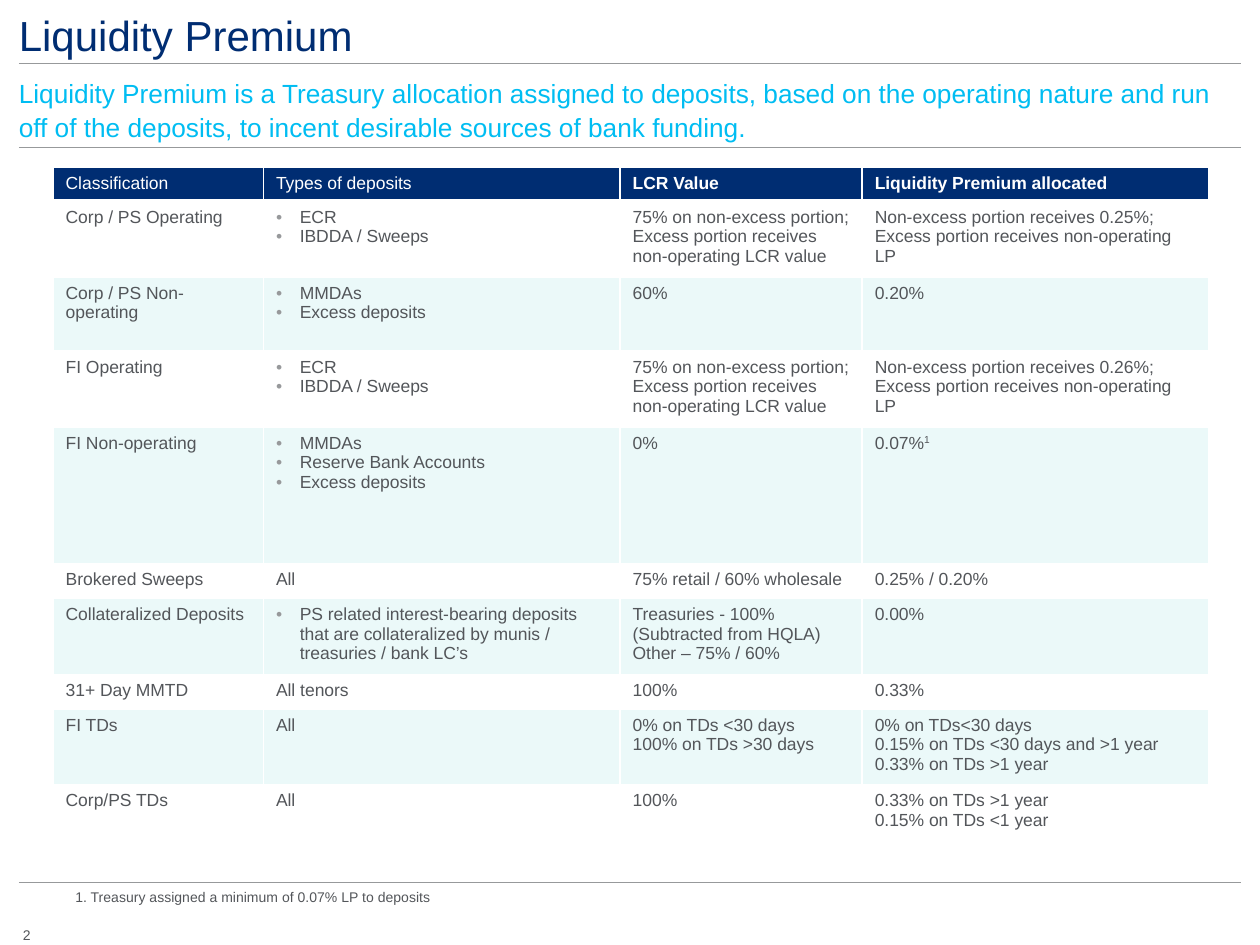
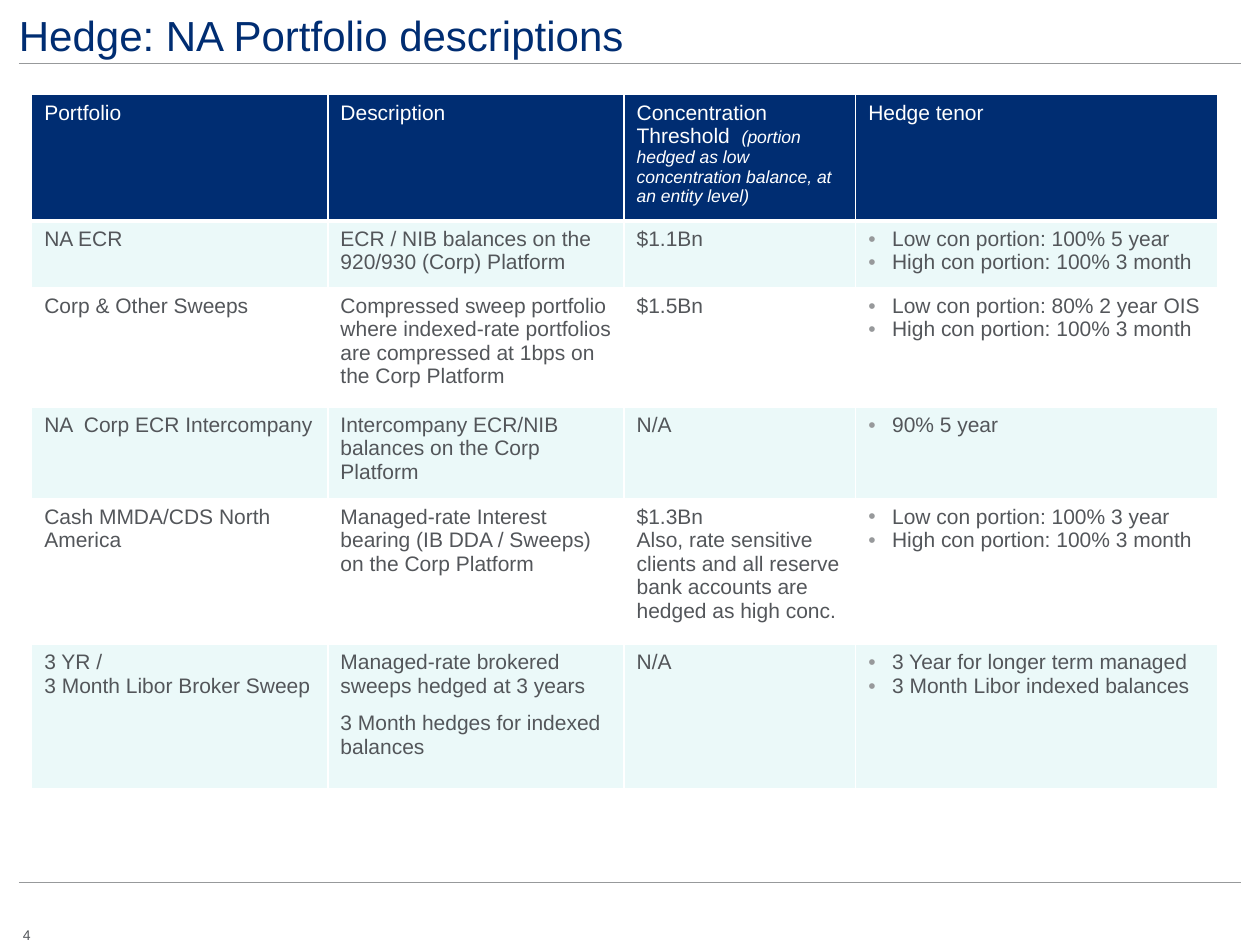
from lxml import etree
from pptx import Presentation
from pptx import util as u
from pptx.dml.color import RGBColor
from pptx.enum import shapes, text
from pptx.oxml import ns

COLORS = {"navy": "002D72", "cyan": "00BDF2", "body": "53565A",
          "rule": "97999B", "mint": "EBF9F9", "white": "FFFFFF"}
FONT = "Arial"
LEFT, RIGHT = 0.38, 25.02  # cm, ends of the rules and of the title

# Content. A cell is one paragraph or a list of them; a paragraph is a string
# or a tuple of runs, and a run may be a (text, format) pair.
NON_OPERATING = "Excess portion receives non-operating"
LCR_OPERATING = f"75% on non-excess portion; {NON_OPERATING} LCR value"
SWEEPS = ["• ECR", "• IBDDA / Sweeps"]
HIGH_CON = "• High con portion: 100% 3 month"

PREMIUM = {
    "title": "Liquidity Premium",
    "page": "2",
    "summary": "Liquidity Premium is a Treasury allocation assigned to deposits, "
               "based on the operating nature and run off of the deposits, "
               "to incent desirable sources of bank funding.",
    "footnote": "1. Treasury assigned a minimum of 0.07% LP to deposits",
    "origin": (1.07, 3.38),
    "size": 10,
    "bands": ("white", "mint"),
    "columns": (4.24, 7.19, 4.88, 6.99),
    "heights": (0.67, 1.53, 1.49, 1.53, 2.76, 0.7, 1.48, 0.7, 1.49, 1.1),
    "rows": [
        ("Classification", "Types of deposits",
         (("LCR Value", {"bold": True}),),
         (("Liquidity Premium allocated", {"bold": True}),)),
        ("Corp / PS Operating", SWEEPS, LCR_OPERATING,
         f"Non-excess portion receives 0.25%; {NON_OPERATING} LP"),
        ("Corp / PS Non-operating", ["• MMDAs", "• Excess deposits"], "60%", "0.20%"),
        ("FI Operating", SWEEPS, LCR_OPERATING,
         f"Non-excess portion receives 0.26%; {NON_OPERATING} LP"),
        ("FI Non-operating",
         ["• MMDAs", "• Reserve Bank Accounts", "• Excess deposits"],
         "0%", ("0.07%", ("1", {"raised": True}))),
        ("Brokered Sweeps", "All", "75% retail / 60% wholesale", "0.25% / 0.20%"),
        ("Collateralized Deposits",
         "• PS related interest-bearing deposits that are collateralized "
         "by munis / treasuries / bank LC’s",
         ["Treasuries - 100%", "(Subtracted from HQLA)", "Other – 75% / 60%"],
         "0.00%"),
        ("31+ Day MMTD", "All tenors", "100%", "0.33%"),
        ("FI TDs", "All", ["0% on TDs <30 days", "100% on TDs >30 days"],
         ["0% on TDs<30 days", "0.15% on TDs <30 days and >1 year",
          "0.33% on TDs >1 year"]),
        ("Corp/PS TDs", "All", "100%",
         ["0.33% on TDs >1 year", "0.15% on TDs <1 year"]),
    ],
}

HEDGE = {
    "title": "Hedge: NA Portfolio descriptions",
    "page": "4",
    "origin": (0.64, 1.91),
    "size": 12,
    "bands": ("mint", "white"),
    "columns": (5.97, 5.97, 4.67, 7.29),
    "heights": (2.52, 1.35, 2.4, 1.85, 2.94, 2.91),
    "rows": [
        ("Portfolio", "Description",
         ("Concentration Threshold  ",
          ("(portion hedged as low concentration balance, at an entity level)",
           {"size": 10, "italic": True})),
         "Hedge tenor"),
        ("NA ECR", "ECR / NIB balances on the 920/930 (Corp) Platform", "$1.1Bn",
         ["• Low con portion: 100% 5 year", HIGH_CON]),
        ("Corp & Other Sweeps",
         "Compressed sweep portfolio where indexed-rate portfolios are "
         "compressed at 1bps on the Corp Platform",
         "$1.5Bn", ["• Low con portion: 80% 2 year OIS", HIGH_CON]),
        ("NA  Corp ECR Intercompany",
         "Intercompany ECR/NIB balances on the Corp Platform", "N/A", "• 90% 5 year"),
        ("Cash MMDA/CDS North America",
         "Managed-rate Interest bearing (IB DDA / Sweeps) on the Corp Platform",
         ["$1.3Bn", "Also, rate sensitive clients and all reserve bank accounts "
                    "are hedged as high conc."],
         ["• Low con portion: 100% 3 year", HIGH_CON]),
        (["3 YR /", "3 Month Libor Broker Sweep"],
         ["Managed-rate brokered sweeps hedged at 3 years",
          (("3 Month hedges for indexed balances", {"before": 8}),)],
         "N/A",
         ["• 3 Year for longer term managed", "• 3 Month Libor indexed balances"]),
    ],
}


def rgb(name):
    return RGBColor.from_string(COLORS[name])


def add_xml(parent, tag, **attributes):
    return etree.SubElement(parent, ns.qn(tag), attributes)


def add_bullet(paragraph):
    properties = paragraph._p.get_or_add_pPr()
    indent = u.Cm(0.48)
    properties.set("marL", str(indent))
    properties.set("indent", str(-indent))
    add_xml(add_xml(properties, "a:buClr"), "a:srgbClr", val=COLORS["rule"])
    add_xml(properties, "a:buFont", typeface=FONT)
    add_xml(properties, "a:buChar", char="•")


def write(frame, content, **style):
    """Fill a text frame with paragraphs, runs and bullets."""
    paragraphs = content if isinstance(content, list) else [content]
    for index, runs in enumerate(paragraphs):
        paragraph = frame.add_paragraph() if index else frame.paragraphs[0]
        paragraph.alignment = text.PP_ALIGN.LEFT
        if "spacing" in style:
            paragraph.line_spacing = style["spacing"]
        if isinstance(runs, str):
            if runs.startswith("• "):
                add_bullet(paragraph)
                runs = runs[2:]
            runs = (runs,)
        for part in runs:
            words, extra = (part, {}) if isinstance(part, str) else part
            look = {**style, **extra}
            run = paragraph.add_run()
            run.text = words
            run.font.name = FONT
            run.font.size = u.Pt(look["size"])
            run.font.color.rgb = rgb(look["color"])
            run.font.bold = look.get("bold", False)
            run.font.italic = look.get("italic", False)
            if look.get("raised"):
                run.font._element.set("baseline", "30000")
            if "before" in look:
                paragraph.space_before = u.Pt(look["before"])


def remove_margins(frame):
    frame.margin_left = frame.margin_right = frame.margin_top = frame.margin_bottom = 0


def add_label(slide, content, box, margins=False, wrap=True, **style):
    frame = slide.shapes.add_textbox(*map(u.Cm, box)).text_frame
    frame.word_wrap = wrap
    frame.vertical_anchor = style.pop("anchor", text.MSO_ANCHOR.TOP)
    if not margins:
        remove_margins(frame)
    write(frame, content, **style)


def add_rule(slide, y):
    rule = slide.shapes.add_connector(
        shapes.MSO_CONNECTOR.STRAIGHT, u.Cm(LEFT), u.Cm(y), u.Cm(RIGHT), u.Cm(y))
    rule.line.color.rgb = rgb("rule")
    rule.line.width = u.Pt(0.5)
    add_xml(rule._element.spPr, "a:effectLst")


def add_borders(cell, header):
    properties = cell._tc.get_or_add_tcPr()
    for side in "LRTB":
        width = u.Pt(3 if header and side == "B" else 1)
        line = add_xml(properties, f"a:ln{side}", w=str(width))
        add_xml(add_xml(line, "a:solidFill"), "a:srgbClr", val=COLORS["white"])


def add_grid(slide, page):
    rows, columns, heights = page["rows"], page["columns"], page["heights"]
    extent = (*page["origin"], sum(columns), sum(heights))
    grid = slide.shapes.add_table(len(rows), len(columns), *map(u.Cm, extent)).table
    grid.horz_banding = False
    for column, width in zip(grid.columns, columns):
        column.width = u.Cm(width)
    for r, (row, height) in enumerate(zip(rows, heights)):
        grid.rows[r].height = u.Cm(height)
        header = r == 0
        band = "navy" if header else page["bands"][(r - 1) % 2]
        for c, content in enumerate(row):
            cell = grid.cell(r, c)
            add_borders(cell, header)
            cell.fill.solid()
            cell.fill.fore_color.rgb = rgb(band)
            write(cell.text_frame, content, size=page["size"],
                  color="white" if header else "body")


def add_page(deck, page):
    slide = deck.slides.add_slide(deck.slide_layouts[5])
    # Shared frame: rules, title, page number
    add_rule(slide, 1.27)
    add_rule(slide, 17.78)
    title = slide.shapes.title
    title.left, title.top = u.Cm(LEFT), u.Cm(0.18)
    title.width, title.height = u.Cm(RIGHT - LEFT), u.Cm(1.04)
    title.fill.solid()
    title.fill.fore_color.rgb = rgb("white")
    title.line.color.rgb = rgb("white")
    title.line.width = u.Pt(1)
    remove_margins(title.text_frame)
    title.text_frame.auto_size = text.MSO_AUTO_SIZE.NONE
    title.text_frame.vertical_anchor = text.MSO_ANCHOR.MIDDLE
    write(title.text_frame, page["title"], size=24, color="navy")
    add_label(slide, page["page"], (0.46, 18.67, 0.15, 0.33), wrap=False,
              size=8, color="body")

    # Parts that only some pages have
    if "summary" in page:
        add_label(slide, page["summary"], (LEFT, 1.55, RIGHT - LEFT, 1.3),
                  size=15, color="cyan", spacing=1.06, anchor=text.MSO_ANCHOR.MIDDLE)
        add_rule(slide, 2.97)
    add_grid(slide, page)
    if "footnote" in page:
        add_label(slide, page["footnote"], (1.27, 17.78, 9.09, 0.61), margins=True,
                  size=8, color="body")


def main():
    deck = Presentation()
    deck.slide_width, deck.slide_height = u.Cm(25.4), u.Cm(19.05)
    for page in (PREMIUM, HEDGE):
        add_page(deck, page)
    deck.save("out.pptx")


if __name__ == "__main__":
    main()
